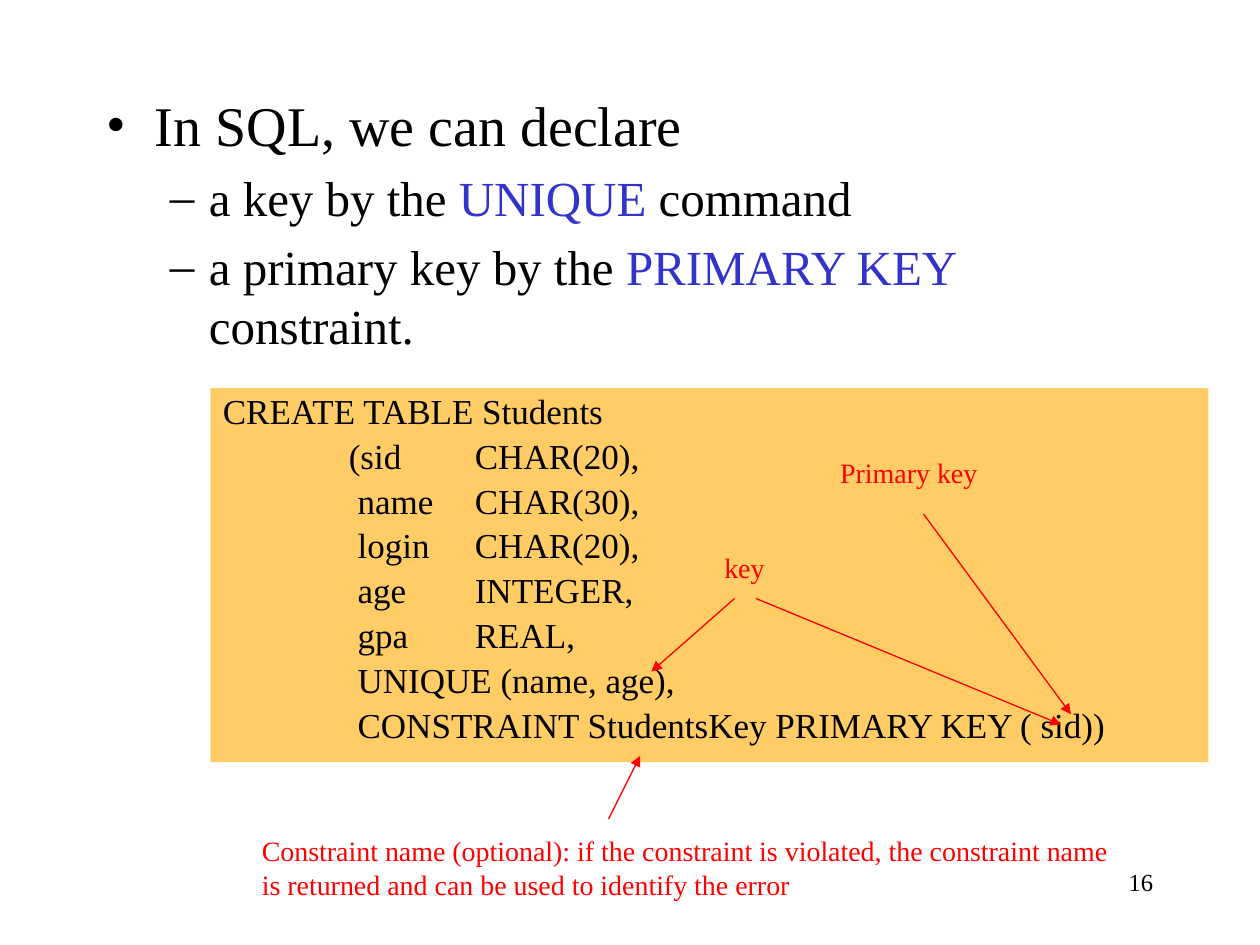
from lxml import etree
from pptx import Presentation
from pptx.dml.color import RGBColor
from pptx.enum.shapes import MSO_CONNECTOR, MSO_SHAPE
from pptx.enum.text import MSO_ANCHOR, PP_ALIGN
from pptx.oxml.ns import qn
from pptx.util import Inches, Pt

LEFT, RIGHT = PP_ALIGN.LEFT, PP_ALIGN.RIGHT
TOP = MSO_ANCHOR.TOP
RECTANGLE = MSO_SHAPE.RECTANGLE
STRAIGHT = MSO_CONNECTOR.STRAIGHT

FONT = "Times New Roman"
COLORS = {"text": "000000", "keyword": "3333CC", "note": "FF0000", "code": "FFCC66"}
CODE_TABS = (1, 2)


class SlideBuilder:
    """Holds the style and the current slide."""

    def __init__(self, slide):
        self.slide = slide

    def style(self, font, size, color):
        font.name = FONT
        font.size = Pt(size)
        font.color.rgb = RGBColor.from_string(COLORS[color])

    def fill_lines(self, frame, lines, size, color="text", align=LEFT):
        frame.text = "\n".join(lines)
        for paragraph in frame.paragraphs:
            paragraph.alignment = align
            for run in paragraph.runs:
                self.style(run.font, size, color)

    def text(self, box, lines, size, color="text", align=LEFT, wrap=False):
        frame = self.slide.shapes.add_textbox(*map(Inches, box)).text_frame
        frame.word_wrap = wrap
        self.fill_lines(frame, lines, size, color, align)

    def bullets(self, box, items):
        """Each item is (mark, size, left margin, hanging indent, runs)."""
        frame = self.slide.shapes.add_textbox(*map(Inches, box)).text_frame
        frame.word_wrap = True
        for index, (mark, size, margin, hang, runs) in enumerate(items):
            paragraph = frame.add_paragraph() if index else frame.paragraphs[0]
            properties = paragraph._p.get_or_add_pPr()
            properties.set("marL", str(Inches(margin)))
            properties.set("indent", str(-Inches(hang)))
            etree.SubElement(properties, qn("a:buFont"), typeface=FONT)
            etree.SubElement(properties, qn("a:buChar"), char=mark)
            self.style(paragraph.font, size, "text")
            if index:
                paragraph.space_before = Pt(0.2 * size)
            for words, color in runs:
                run = paragraph.add_run()
                run.text = words
                self.style(run.font, size, color)

    def code(self, box, lines, size):
        panel = self.slide.shapes.add_shape(RECTANGLE, *map(Inches, box))
        panel.shadow.inherit = False
        panel.fill.solid()
        panel.fill.fore_color.rgb = RGBColor.from_string(COLORS["code"])
        panel.line.fill.background()
        frame = panel.text_frame
        frame.word_wrap = True
        frame.vertical_anchor = TOP
        self.fill_lines(frame, lines, size)
        for index, paragraph in enumerate(frame.paragraphs):
            tabs = etree.SubElement(paragraph._p.get_or_add_pPr(), qn("a:tabLst"))
            for stop in CODE_TABS:
                etree.SubElement(tabs, qn("a:tab"), pos=str(Inches(stop)), algn="l")
            paragraph.line_spacing = 0.9
            if index:
                paragraph.space_before = Pt(0.2 * size)

    def arrow(self, start, end):
        arrow = self.slide.shapes.add_connector(STRAIGHT, *map(Inches, start + end))
        arrow.line.color.rgb = RGBColor.from_string(COLORS["note"])
        arrow.line.width = Pt(0.75)
        etree.SubElement(arrow.line._get_or_add_ln(), qn("a:tailEnd"), type="triangle")
        etree.SubElement(arrow._element.spPr, qn("a:effectLst"))


def main():
    presentation = Presentation()
    presentation.slide_width, presentation.slide_height = Inches(10), Inches(7.5)
    builder = SlideBuilder(presentation.slides.add_slide(presentation.slide_layouts[6]))

    # Slide number
    builder.text((7.17, 6.83, 2.08, 0.5), ["16"], 14, align=RIGHT, wrap=True)

    # Ways to declare keys
    sub_bullet = ("–", 28, 0.81, 0.31)
    builder.bullets((0.75, 0.67, 8.5, 6), [
        ("•", 32, 0.38, 0.38, [("In SQL, we can declare", "text")]),
        (*sub_bullet, [("a key by the ", "text"), ("UNIQUE", "keyword"),
                       (" command", "text")]),
        (*sub_bullet, [("a primary key by the ", "text"), ("PRIMARY KEY", "keyword"),
                       (" constraint.", "text")]),
    ])

    # Table definition
    builder.code((1.67, 3.08, 7.92, 2.97), [
        "CREATE TABLE Students",
        "\t(sid\tCHAR(20),",
        "\t name\tCHAR(30),",
        "\t login\tCHAR(20),",
        "\t age\tINTEGER,",
        "\t gpa\tREAL,",
        "\t UNIQUE (name, age),",
        "\t CONSTRAINT StudentsKey PRIMARY KEY ( sid))",
    ], 20)

    # Notes on the definition
    for box, lines in [
        ((5.65, 4.32, 0.52, 0.37), ["key"]),
        ((6.57, 3.57, 1.3, 0.37), ["Primary key"]),
        ((1.98, 6.57, 6.96, 0.64), [
            "Constraint name (optional): if the constraint is violated, the constraint name",
            "is returned and can be used to identify the error",
        ]),
    ]:
        builder.text(box, lines, 16, "note")

    # Arrows from the notes to the code
    for start, end in [
        ((5.83, 4.75), (5.17, 5.33)),
        ((6, 4.75), (8.42, 5.75)),
        ((7.33, 4.08), (8.5, 5.67)),
        ((4.83, 6.5), (5.08, 6)),
    ]:
        builder.arrow(start, end)

    presentation.save("out.pptx")


if __name__ == "__main__":
    main()
